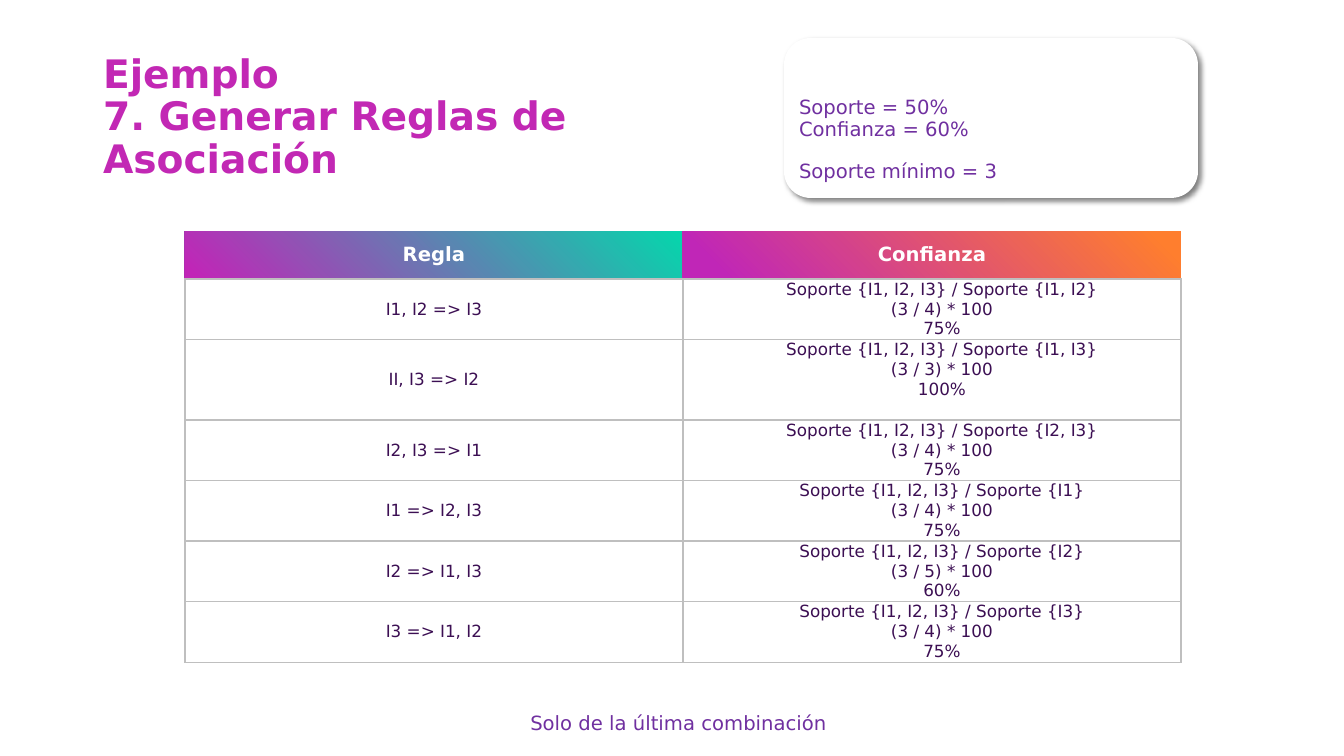
from lxml import etree
from pptx import Presentation
from pptx.dml.color import RGBColor
from pptx.enum.shapes import MSO_SHAPE
from pptx.enum.text import MSO_ANCHOR, MSO_AUTO_SIZE, PP_ALIGN
from pptx.oxml import parse_xml
from pptx.oxml.ns import nsdecls
from pptx.util import Pt

PX = 9071
FONT = "DejaVu Sans"
COLORS = {
    "title": "C228B4", "note": "7030A0", "white": "FFFFFF", "body": "3C0F53",
    "border": "BFBFBF", "shadow": "000000", "teal": "06D5AC",
    "magenta": "C125B7", "orange": "FF7E2E", "pink": "C026B7",
}


def format_text(text_frame, size, color, bold=False, align=PP_ALIGN.LEFT, spacing=None):
    for paragraph in text_frame.paragraphs:
        paragraph.alignment = align
        paragraph.line_spacing = spacing
        for run in paragraph.runs:
            run.font.name = FONT
            run.font.size = Pt(size)
            run.font.bold = bold
            run.font.color.rgb = RGBColor.from_string(COLORS[color])


def set_borders(cell, visible_sides):
    properties = cell._tc.get_or_add_tcPr()
    for index, side in enumerate("LRTB"):
        paint = "<a:noFill/>"
        if side in visible_sides:
            paint = f'<a:solidFill><a:srgbClr val="{COLORS["border"]}"/></a:solidFill>'
        properties.insert(index, parse_xml(
            f'<a:ln{side} {nsdecls("a")} w="12700">{paint}</a:ln{side}>'))


presentation = Presentation()
presentation.slide_width = 1344 * PX
presentation.slide_height = 756 * PX
slide = presentation.slides.add_slide(presentation.slide_layouts[5])

title = slide.shapes.title
title.left, title.top, title.width, title.height = [n * PX for n in (93, 72, 691, 92)]
title.text_frame.text = "Ejemplo\v7. Generar Reglas de Asociación"
title.text_frame.word_wrap = True
title.text_frame.auto_size = MSO_AUTO_SIZE.NONE
title.text_frame.vertical_anchor = MSO_ANCHOR.MIDDLE
format_text(title.text_frame, 28, "title", bold=True, spacing=0.9)

card = slide.shapes.add_shape(
    MSO_SHAPE.ROUNDED_RECTANGLE, 784 * PX, 38 * PX, 414 * PX, 160 * PX)
card.fill.solid()
card.fill.fore_color.rgb = RGBColor.from_string(COLORS["white"])
card.line.fill.background()
card.shadow.inherit = False
effects = card._element.spPr.find("{*}effectLst")
effects.append(parse_xml(
    f'<a:outerShdw {nsdecls("a")} blurRad="50800" dist="38100" dir="2700000" algn="tl" '
    f'rotWithShape="0"><a:srgbClr val="{COLORS["shadow"]}"><a:alpha val="50000"/>'
    '</a:srgbClr></a:outerShdw>'))

notes = [
    ((799, 93, 382, 96), "Soporte = 50%\nConfianza = 60%\nSoporte mínimo = 3", PP_ALIGN.LEFT),
    ((105, 709, 1157, 31), "Solo de la última combinación", PP_ALIGN.CENTER),
]
for box, text, align in notes:
    note = slide.shapes.add_textbox(*[n * PX for n in box])
    note.text_frame.word_wrap = True
    note.text_frame.margin_left = 0
    note.text_frame.text = text
    format_text(note.text_frame, 14, "note", align=align, spacing=0.9)
    if align == PP_ALIGN.LEFT:
        note.text_frame.paragraphs[-1].space_before = Pt(15)

rules = [
    ("I1, I2 => I3", "I1, I2", "(3 / 4) * 100", "75%"),
    ("II, I3 => I2", "I1, I3", "(3 / 3) * 100", "100%"),
    ("I2, I3 => I1", "I2, I3", "(3 / 4) * 100", "75%"),
    ("I1 => I2, I3", "I1", "(3 / 4) * 100", "75%"),
    ("I2 => I1, I3", "I2", "(3 / 5) * 100", "60%"),
    ("I3 => I1, I2", "I3", "(3 / 4) * 100", "75%"),
]
headers = [
    ("Regla", (("teal", 0.01), ("magenta", 0.98))),
    ("Confianza", (("orange", 0.05), ("pink", 0.92))),
]
table = slide.shapes.add_table(
    len(rules) + 1, 2, 185 * PX, 231 * PX, 996 * PX, 431 * PX).table
table.rows[0].height = 48 * PX

for column, (text, stops) in enumerate(headers):
    cell = table.cell(0, column)
    cell.text_frame.text = text
    cell.vertical_anchor = MSO_ANCHOR.MIDDLE
    format_text(cell.text_frame, 14, "white", bold=True, align=PP_ALIGN.CENTER)
    cell.fill.gradient()
    cell.fill.gradient_angle = 225
    for stop, (color, position) in zip(cell.fill.gradient_stops, stops):
        stop.color.rgb = RGBColor.from_string(COLORS[color])
        stop.position = position
    set_borders(cell, "B")

for row, (rule, base, ratio, confidence) in enumerate(rules, start=1):
    extra = 20 if row == 2 else 0
    table.rows[row].height = (60 + extra) * PX
    formula = f"Soporte {{I1, I2, I3}} / Soporte {{{base}}}\n{ratio}\n{confidence}"
    for column, text in enumerate((rule, formula)):
        cell = table.cell(row, column)
        cell.text_frame.text = text
        cell.vertical_anchor = MSO_ANCHOR.MIDDLE
        cell.margin_left = cell.margin_right = cell.margin_top = 0
        cell.margin_bottom = extra * column * PX
        format_text(cell.text_frame, 12, "body", align=PP_ALIGN.CENTER)
        if column == 1:
            for paragraph in cell.text_frame.paragraphs:
                paragraph._p.get_or_add_pPr().set("marL", str(20 * PX))
        cell.fill.solid()
        cell.fill.fore_color.rgb = RGBColor.from_string(COLORS["white"])
        set_borders(cell, "LRTB")

presentation.save("out.pptx")
